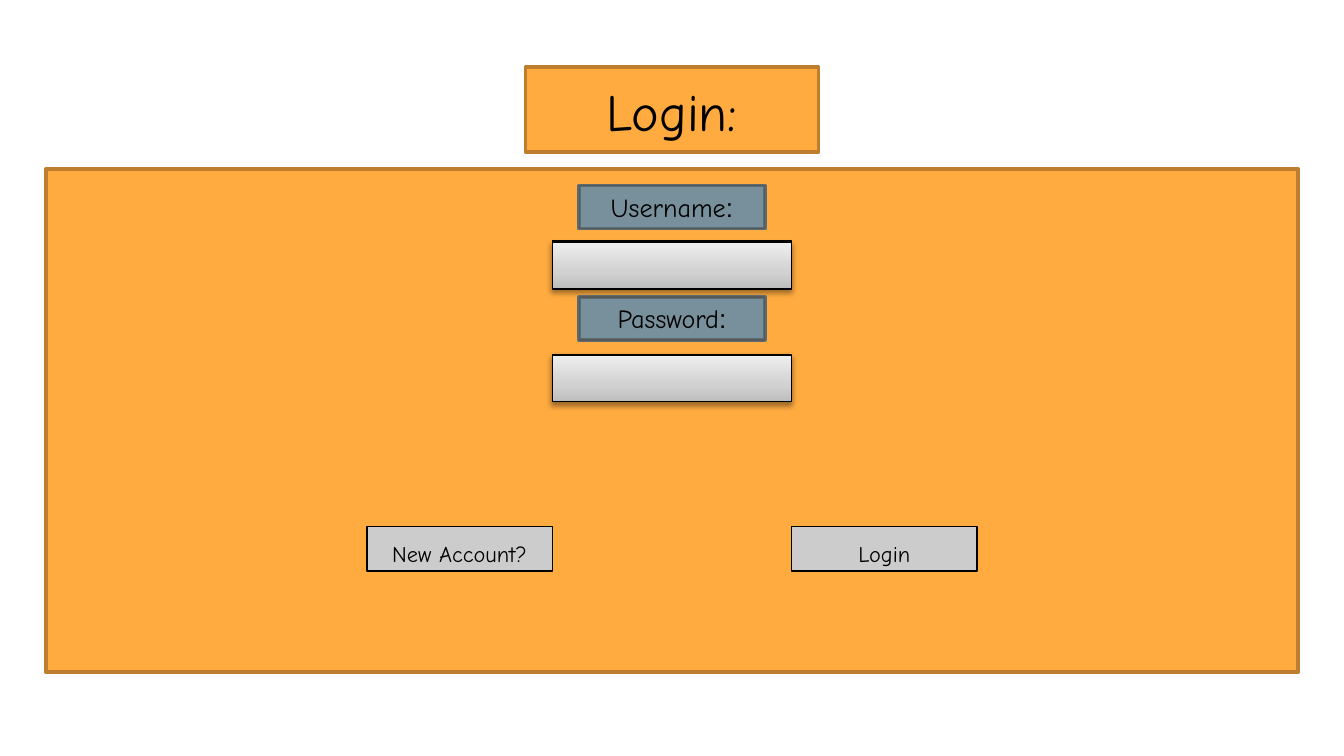
"""Build a login form slide with labels, input fields and buttons."""
from lxml import etree
from pptx import Presentation
from pptx import util as u
from pptx.dml.color import RGBColor
from pptx.enum import shapes, text
from pptx.oxml import ns

SLIDE_WIDTH = 10
SLIDE_HEIGHT = SLIDE_WIDTH * 9 / 16
FONT = "Comic Neue"
ORANGE, BROWN = "FFAB40", "BD7F2F"
SLATE, DARK_SLATE = "78909C", "596B73"
BLACK, GRAY, SILVER = "000000", "595959", "CCCCCC"

TITLE = "Login:"
PANELS = [(0.5, 2.18, 0.63), (1.26, 9.32, 3.74)]
FIELDS = [("Username", 1.38, 1.79, 1.8), ("Password", 2.21, 2.65, 2.64)]
LABEL_WIDTH, LABEL_HEIGHT = 1.38, 0.32
FIELD_WIDTH, FIELD_HEIGHT = 1.78, 0.35
BUTTONS = ["New Account?", "Login"]
BUTTON_TOP, BUTTON_WIDTH, BUTTON_HEIGHT = 3.92, 1.38, 0.33
GRADIENT = [(0, "BDBDBD"), (35, "D1D1D1"), (100, "EEEEEE")]


def color(value):
    return RGBColor.from_string(value)


def centered(width):
    return (SLIDE_WIDTH - width) / 2


def add_box(slide, left, top, width, height, fill=None, line=BLACK, weight=0.75):
    shape = slide.shapes.add_shape(
        shapes.MSO_SHAPE.RECTANGLE, *(u.Inches(n) for n in (left, top, width, height)))
    shape.shadow.inherit = False
    if fill:
        shape.fill.solid()
        shape.fill.fore_color.rgb = color(fill)
    else:
        shape.fill.background()
    shape.line.color.rgb = color(line)
    shape.line.width = u.Pt(weight)
    return shape


def write(shape, *runs, size=14, anchor=text.MSO_ANCHOR.TOP):
    frame = shape.text_frame
    frame.word_wrap = True
    frame.auto_size = text.MSO_AUTO_SIZE.NONE
    frame.vertical_anchor = anchor
    frame.margin_left = frame.margin_right = u.Inches(0.1)
    frame.margin_top = frame.margin_bottom = u.Inches(0.1)
    paragraph = frame.paragraphs[0]
    paragraph.alignment = text.PP_ALIGN.CENTER
    for words, font in runs:
        run = paragraph.add_run()
        run.text = words
        run.font.name = font
        run.font.size = u.Pt(size)
        run.font.color.rgb = color(BLACK)


def add_input(slide, top):
    shape = add_box(slide, centered(FIELD_WIDTH), top, FIELD_WIDTH, FIELD_HEIGHT)
    properties = shape.element.spPr
    namespace = ns.nsdecls("a")
    stops = "".join(f'<a:gs pos="{position * 1000}"><a:srgbClr val="{value}"/></a:gs>'
                    for position, value in GRADIENT)
    gradient = etree.fromstring(
        f'<a:gradFill {namespace}><a:gsLst>{stops}</a:gsLst>'
        '<a:lin ang="16200000" scaled="0"/></a:gradFill>')
    properties.replace(properties.find(ns.qn("a:noFill")), gradient)
    shadow = etree.fromstring(
        f'<a:outerShdw {namespace} blurRad="{u.Pt(3.1)}" dist="{u.Pt(1.6)}" dir="5400000" '
        f'rotWithShape="0"><a:srgbClr val="{BLACK}"><a:alpha val="38000"/></a:srgbClr>'
        '</a:outerShdw>')
    properties.find(ns.qn("a:effectLst")).append(shadow)


def add_title(slide):
    title = slide.shapes.title
    title.left, title.top = u.Inches(0.34), u.Inches(0.49)
    title.width, title.height = u.Inches(9.32), u.Inches(0.63)
    write(title, (TITLE, FONT), size=28)
    title.element.getparent().append(title.element)


def main():
    presentation = Presentation()
    presentation.slide_width = u.Inches(SLIDE_WIDTH)
    presentation.slide_height = u.Inches(SLIDE_HEIGHT)
    slide = presentation.slides.add_slide(presentation.slide_layouts[5])

    for top, width, height in PANELS:
        add_box(slide, centered(width), top, width, height, ORANGE, BROWN, 2)
    add_title(slide)

    for label, label_top, outline_top, input_top in FIELDS:
        place = (centered(LABEL_WIDTH), label_top, LABEL_WIDTH, LABEL_HEIGHT)
        add_box(slide, *place, SLATE, DARK_SLATE, 2)
        add_box(slide, centered(FIELD_WIDTH), outline_top, FIELD_WIDTH, 0.33)
        caption = add_box(slide, *place, line=GRAY)
        write(caption, (label, FONT), (":", "Arial"), anchor=text.MSO_ANCHOR.MIDDLE)
        add_input(slide, input_top)

    field_left = centered(FIELD_WIDTH)
    button_lefts = [field_left - BUTTON_WIDTH, field_left + FIELD_WIDTH]
    for words, left in zip(BUTTONS, button_lefts):
        button = add_box(slide, left, BUTTON_TOP, BUTTON_WIDTH, BUTTON_HEIGHT, SILVER)
        write(button, (words, FONT), size=12)

    presentation.save("out.pptx")


if __name__ == "__main__":
    main()
